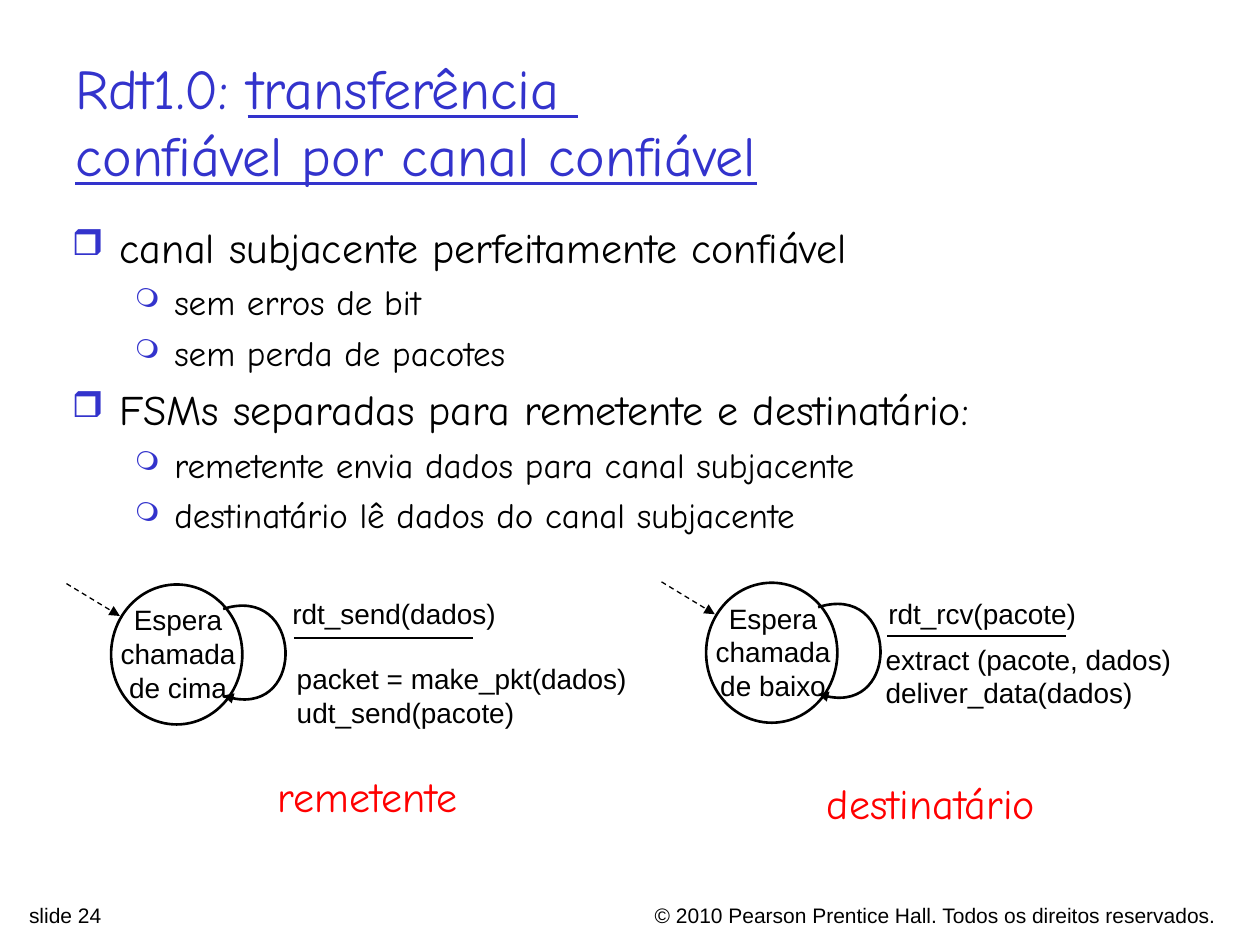
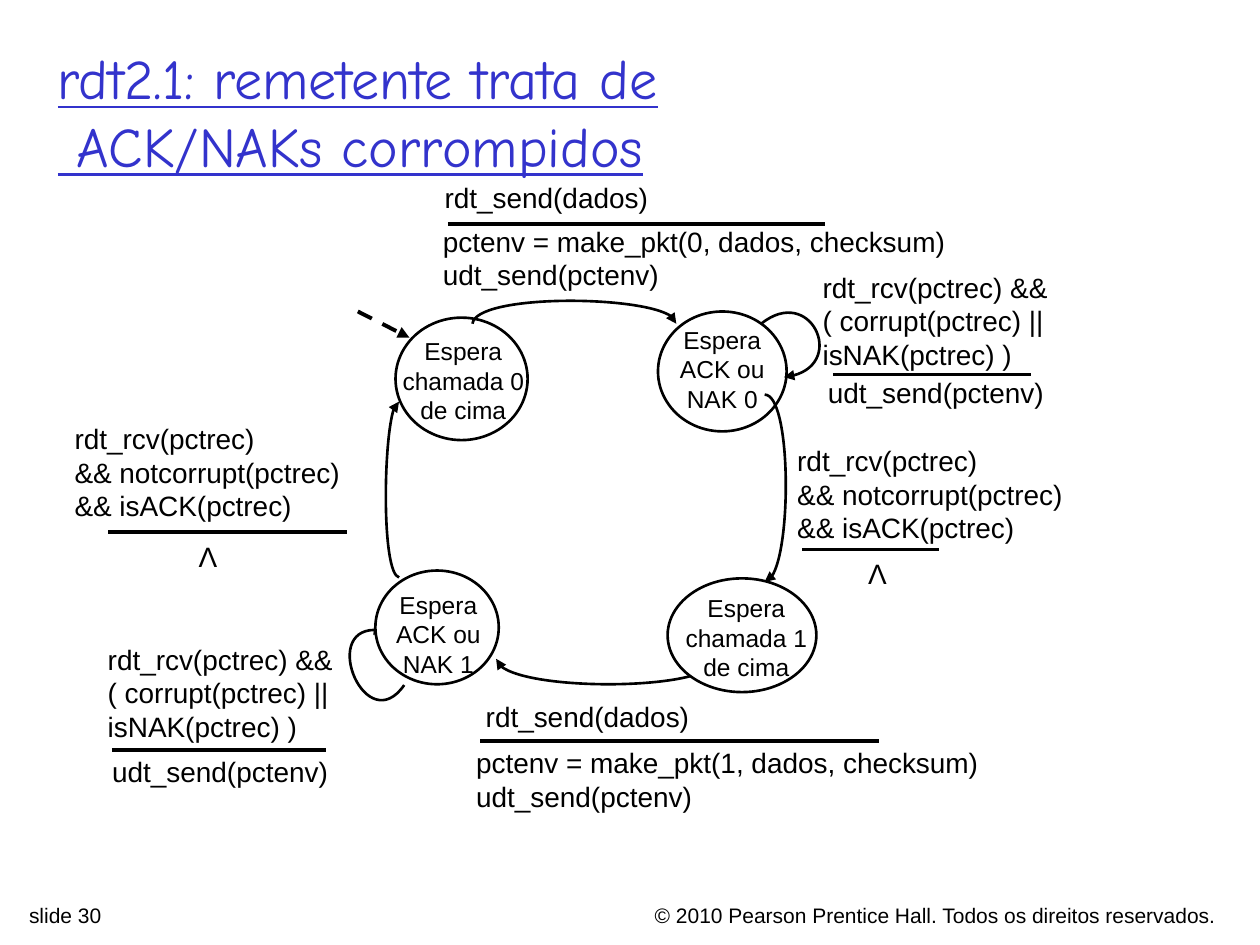
from copy import deepcopy

from lxml import etree
from pptx import Presentation
from pptx.dml.color import RGBColor
from pptx.enum.dml import MSO_LINE
from pptx.enum.shapes import MSO_CONNECTOR, MSO_SHAPE
from pptx.enum.text import MSO_ANCHOR, PP_ALIGN
from pptx.oxml.ns import qn
from pptx.util import Pt

STRAIGHT, OVAL, DASH = MSO_CONNECTOR.STRAIGHT, MSO_SHAPE.OVAL, MSO_LINE.DASH
LEFT, CENTER, RIGHT = PP_ALIGN.LEFT, PP_ALIGN.CENTER, PP_ALIGN.RIGHT
TOP, MIDDLE = MSO_ANCHOR.TOP, MSO_ANCHOR.MIDDLE
BLACK, WHITE, BLUE, RED = "000000", "FFFFFF", "3333CC", "FF0000"
SANS, COMIC = "Arial", "Comic Neue"
COPYRIGHT = "© 2010 Pearson Prentice Hall. Todos os direitos reservados."
BULLETS = [
    dict(char="❒", size=85, left=27, hang=27, font=24, before=6),
    dict(char="❍", size=75, left=58.5, hang=22.5, font=20, before=5),
]


def rgb(value):
    """Turn a hex string into a colour."""
    return RGBColor.from_string(value)


def write(p, text, color=BLACK, **fmt):
    """Add text to a paragraph, with line breaks set in the same format."""
    for i, piece in enumerate(text.split("\n")):
        if i:
            p.add_line_break()
        r = p.add_run()
        r.text = piece
        for name, value in fmt.items():
            setattr(r.font, name, value)
        r.font.color.rgb = rgb(color)
    for br in p._p.findall(qn("a:br")):
        br.insert(0, deepcopy(r._r.rPr))


def text_box(s, box, wrap=True, anchor=TOP):
    """Add an empty text box and return its text frame."""
    tf = s.shapes.add_textbox(*map(Pt, box)).text_frame
    tf.word_wrap = wrap
    tf.vertical_anchor = anchor
    return tf


def label(s, box, lines, size=16, align=LEFT, color=BLACK, font=SANS, wrap=True):
    """Add a text box with one paragraph for each line."""
    tf = text_box(s, box, wrap)
    for i, line in enumerate(lines):
        p = tf.add_paragraph() if i else tf.paragraphs[0]
        p.alignment = align
        write(p, line, color, size=Pt(size), name=font)


def title(s, box, underlined, plain=""):
    """Add the slide title, with an optional plain start."""
    p = text_box(s, box, anchor=MIDDLE).paragraphs[0]
    fmt = dict(color=BLUE, size=Pt(32), name=COMIC)
    if plain:
        write(p, plain, **fmt)
    write(p, underlined, underline=True, **fmt)


def footer(s, number):
    """Add the slide number and the copyright line."""
    label(s, (334, 512, 368, 17), [COPYRIGHT], 12, RIGHT)
    label(s, (9.5, 512, 253.5, 17), [f"slide {number}"], 12)


def bullet_list(s, box, items):
    """Add a two-level bulleted list."""
    tf = text_box(s, box)
    for i, (level, text) in enumerate(items):
        style = BULLETS[level]
        p = tf.add_paragraph() if i else tf.paragraphs[0]
        p.level = level
        pPr = p._p.get_or_add_pPr()
        pPr.set("marL", str(Pt(style["left"])))
        pPr.set("indent", str(-Pt(style["hang"])))
        clr = etree.SubElement(pPr, qn("a:buClr"))
        etree.SubElement(clr, qn("a:srgbClr"), val=BLUE)
        etree.SubElement(pPr, qn("a:buSzPct"), val=str(style["size"] * 1000))
        etree.SubElement(pPr, qn("a:buChar"), char=style["char"])
        if i:
            p.space_before = Pt(style["before"])
        write(p, text, size=Pt(style["font"]), name=COMIC)


def stroke(shape, width, arrow=False, dash=None):
    """Give a shape a black outline, with an optional dash and arrowhead."""
    line = shape.line
    line.color.rgb = rgb(BLACK)
    line.width = Pt(width)
    if dash:
        line.dash_style = dash
    if arrow:
        etree.SubElement(line._get_or_add_ln(), qn("a:tailEnd"), type="triangle")


def segment(s, start, end, width, **fmt):
    """Add a straight line."""
    line = s.shapes.add_connector(STRAIGHT, *map(Pt, start + end))
    stroke(line, width, **fmt)
    etree.SubElement(line._element.spPr, qn("a:effectLst"))


def curved_arrow(s, start, *controls):
    """Add a cubic curve from start through two handles to its arrowhead."""
    builder = s.shapes.build_freeform(*map(Pt, start))
    builder.add_line_segments([tuple(map(Pt, xy)) for xy in controls], close=False)
    shape = builder.convert_to_shape()
    route = shape._element.find(".//" + qn("a:path"))
    steps = route.findall(qn("a:lnTo"))
    curve = etree.SubElement(route, qn("a:cubicBezTo"))
    for step in steps:
        curve.append(step[0])
        route.remove(step)
    shape.fill.background()
    shape.shadow.inherit = False
    stroke(shape, 1.5, arrow=True)


def state(s, oval, box, text, size=14):
    """Add a state: an oval with its name over it."""
    shape = s.shapes.add_shape(OVAL, *map(Pt, oval))
    shape.shadow.inherit = False
    shape.fill.solid()
    shape.fill.fore_color.rgb = rgb(WHITE)
    stroke(shape, 1.5)
    label(s, box, [text], size, CENTER)


def transition(s, event_box, event, rule, action_box, action, width=2.25):
    """Add an event above a rule (left, right, y) and the actions below it."""
    left, right, y = rule
    label(s, event_box, event)
    segment(s, (left, y), (right, y), width)
    label(s, action_box, action)


def waiting_machine(s, dx, dy, name):
    """Add a one-state machine with its entry arrow and its loop."""
    state(s, (63.5 + dx, 334 + dy, 75, 80), (58.5 + dx, 341 + dy, 86.5, 72), name, 16)
    loop = [(127.5, 348), (173, 333.5), (175.5, 414), (127.5, 397.5)]
    curved_arrow(s, *[(x + dx, y + dy) for x, y in loop])
    segment(s, (38 + dx, 333.5 + dy), (68.5 + dx, 352 + dy), 0.75, arrow=True, dash=DASH)


def reliable_channel_slide(s):
    """Fill the slide on rdt1.0."""
    footer(s, 24)
    title(s, (36, 24, 630, 90), "transferência \nconfiável por canal confiável", "Rdt1.0: ")
    bullet_list(s, (34, 123, 622, 190), [
        (0, "canal subjacente perfeitamente confiável"),
        (1, "sem erros de bit"),
        (1, "sem perda de pacotes"),
        (0, "FSMs separadas para remetente e destinatário:"),
        (1, "remetente envia dados para canal subjacente"),
        (1, "destinatário lê dados do canal subjacente"),
    ])
    waiting_machine(s, 0, 0, "Espera\nchamada\nde cima")
    transition(s, (160, 337.5, 178, 34), ["rdt_send(dados)"], (168, 270, 364.5),
               (162.5, 374.5, 211, 47), ["packet = make_pkt(dados)", "udt_send(pacote)"], 1.5)
    waiting_machine(s, 340, -1, "Espera\nchamada\nde baixo")
    transition(s, (500.5, 337.5, 130, 26.5), ["rdt_rcv(pacote)"], (507, 609, 363.5),
               (499, 363.5, 196, 34), ["extract (pacote, dados)", "deliver_data(dados)"], 1.5)
    for box, role in [((150.5, 437, 119, 36), "remetente"), ((465, 440.5, 134, 36), "destinatário")]:
        label(s, box, [role], 24, CENTER, RED, COMIC, wrap=False)


def corrupted_ack_slide(s):
    """Fill the slide on the rdt2.1 sender."""
    send = ["rdt_send(dados)"]
    resend = ["udt_send(pctenv)"]
    failed = ["rdt_rcv(pctrec) &&", "( corrupt(pctrec) ||", "isNAK(pctrec) )"]
    acked = ["rdt_rcv(pctrec)", "&& notcorrupt(pctrec)", "&& isACK(pctrec)"]
    packets = [[f"pctenv = make_pkt({n}, dados, checksum)", *resend] for n in (0, 1)]

    footer(s, 30)
    title(s, (26, 18.5, 651.5, 90), "rdt2.1: remetente trata de\n ACK/NAKs corrompidos")
    state(s, (226, 181.5, 75.5, 70), (222, 188.5, 85.5, 48), "Espera\nchamada 0\nde cima")
    state(s, (376, 178, 73.5, 68.5), (370, 182, 85.5, 51), "Espera\nACK ou\nNAK 0")
    segment(s, (204.5, 178), (234, 193), 2.25, arrow=True, dash=DASH)
    for points in [
        [(270, 185), (272, 168), (386.5, 168.5), (386.5, 185)],
        [(435, 185), (463, 162.5), (486, 211.5), (448, 215.5)],
        [(437, 225.5), (452, 225.5), (453, 330.5), (437, 332.5)],
        [(409.5, 376.5), (409.5, 394.5), (286, 396), (283.5, 376.5)],
        [(231, 391.5), (209.5, 422.5), (180, 353.5), (219.5, 360.5)],
        [(228, 330), (218, 327.5), (219, 229.5), (228, 229.5)],
    ]:
        curved_arrow(s, *points)
    state(s, (381.5, 330.5, 85, 65), (382.5, 335.5, 88, 48), "Espera\nchamada 1\nde cima")
    state(s, (214.5, 326, 70.5, 65), (209.5, 333.5, 82, 48), "Espera\nACK ou NAK 1")

    for parts in [
        ((247, 99.5, 166, 24), send, (256, 471.5, 128), (246, 124.5, 309, 32), packets[0]),
        ((463, 151, 201.5, 44.5), failed, (476, 589, 214), (466, 211, 178, 32), resend),
        ((448.5, 250, 236, 45.5), acked, (458.5, 536.5, 314), (489, 314.5, 25, 26.5), ["Λ"]),
        ((270.5, 396, 188, 22.5), send, (274.5, 502.5, 423.5), (265, 422.5, 316, 32), packets[1]),
        ((54.5, 363.5, 158.5, 44.5), failed, (64, 186.5, 428.5), (57, 427.5, 143.5, 21.5), resend),
        ((35.5, 237.5, 181.5, 45.5), acked, (62, 198.5, 304), (106.5, 304.5, 25, 26.5), ["Λ"]),
    ]:
        transition(s, *parts)


def main():
    """Build both slides and save them."""
    prs = Presentation()
    prs.slide_width, prs.slide_height = Pt(720), Pt(540)
    for fill_slide in (reliable_channel_slide, corrupted_ack_slide):
        fill_slide(prs.slides.add_slide(prs.slide_layouts[6]))
    prs.save("out.pptx")


if __name__ == "__main__":
    main()
